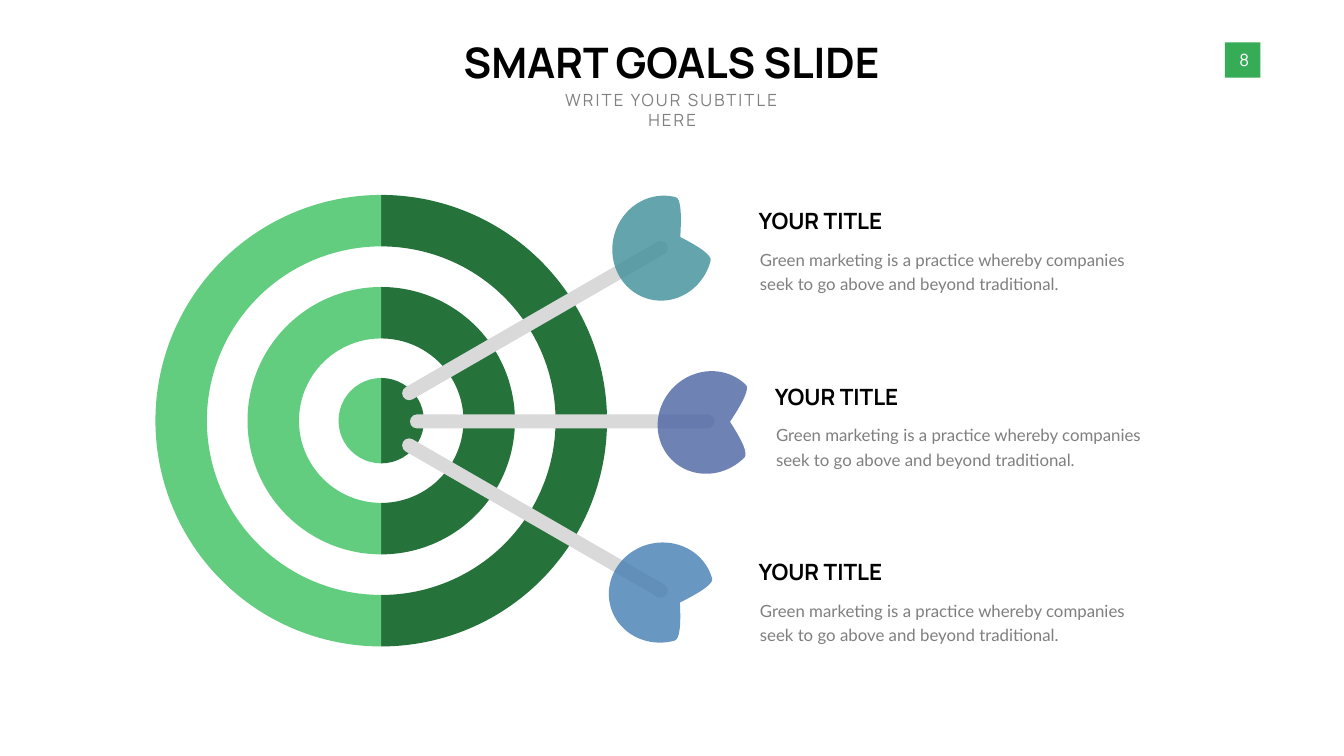
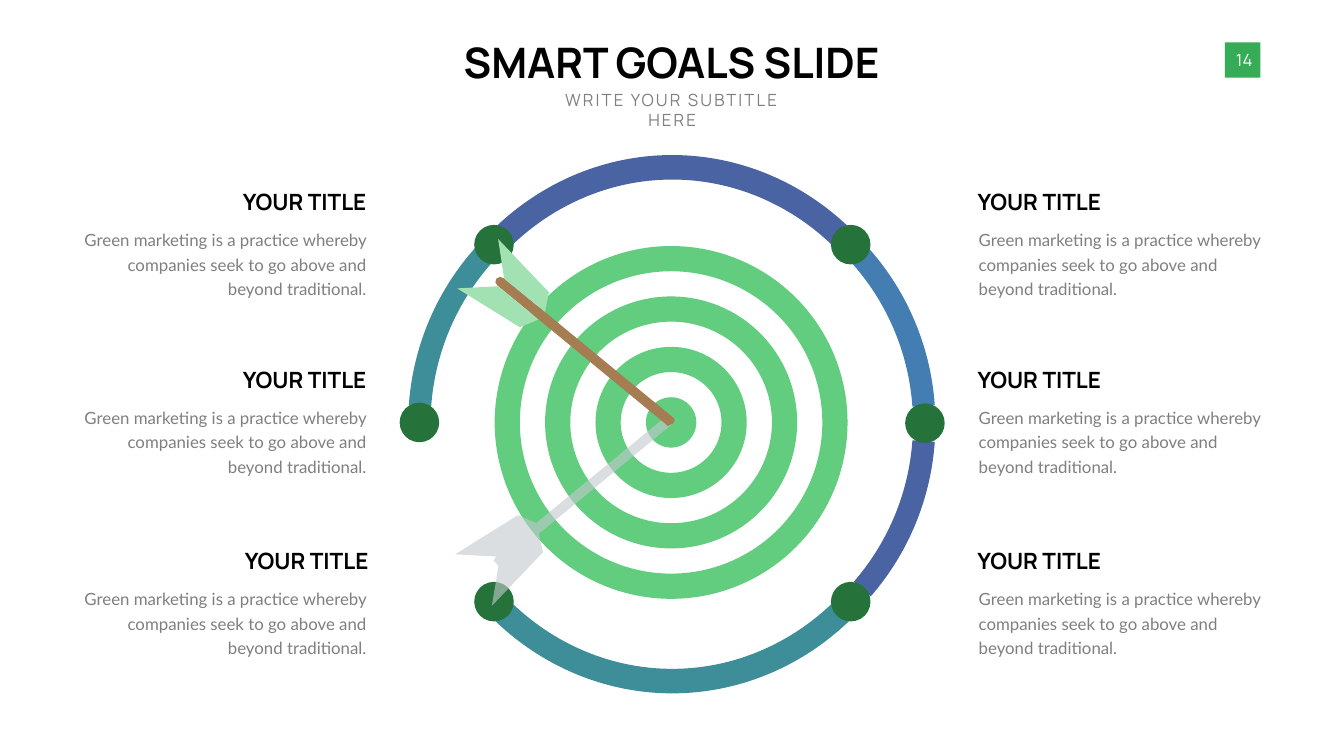
"""Build two SMART goals slides: a target with three darts and a target with six stops."""
from lxml.etree import SubElement
from pptx import Presentation
from pptx.dml.color import RGBColor
from pptx.enum.shapes import MSO_SHAPE
from pptx.enum.text import MSO_ANCHOR, MSO_AUTO_SIZE, PP_ALIGN
from pptx.oxml.ns import qn
from pptx.util import Pt

WHITE = RGBColor(0xFF, 0xFF, 0xFF)
BLACK = RGBColor(0x00, 0x00, 0x00)
SUBTITLE_GRAY = RGBColor(0x80, 0x80, 0x80)
BODY_GRAY = RGBColor(0x7F, 0x7F, 0x7F)
STICK_GRAY = RGBColor(0xD9, 0xD9, 0xD9)
ARROW_GRAY = RGBColor(0xC4, 0xC8, 0xCE)
BADGE_GREEN = RGBColor(0x37, 0xAC, 0x57)
DARK_GREEN = RGBColor(0x25, 0x73, 0x3A)
GREEN = RGBColor(0x62, 0xCD, 0x7F)
PALE_GREEN = RGBColor(0xA1, 0xE1, 0xB2)
TEAL = RGBColor(0x3E, 0x8E, 0x99)
INDIGO = RGBColor(0x4A, 0x63, 0xA2)
BLUE = RGBColor(0x43, 0x7D, 0xB2)
BROWN = RGBColor(0xA6, 0x7C, 0x52)

HEADING_FONT, BODY_FONT = "Manrope", "Lato"
BODY = "Green marketing is a practice whereby companies seek to go above and beyond traditional."
LEFT, CENTER, RIGHT = PP_ALIGN.LEFT, PP_ALIGN.CENTER, PP_ALIGN.RIGHT
DEGREE = 0.6


def paint(sp, color, alpha=100):
    sp.shadow.inherit = False
    sp.line.fill.background()
    sp.fill.solid()
    sp.fill.fore_color.rgb = color
    if alpha < 100:
        clr = sp._element.spPr.find(qn("a:solidFill"))[0]
        SubElement(clr, qn("a:alpha"), val=str(alpha * 1000))


def place(s, kind, cx, cy, w, h, color, adjustments=(), angle=0, alpha=100):
    sp = s.shapes.add_shape(kind, Pt(cx - w / 2), Pt(cy - h / 2), Pt(w), Pt(h))
    for i, value in enumerate(adjustments):
        sp.adjustments[i] = value
    sp.rotation = angle
    paint(sp, color, alpha)
    return sp


prs = Presentation()
prs.slide_width, prs.slide_height = Pt(1919.5), Pt(1080)
darts, stops = [prs.slides.add_slide(prs.slide_layouts[5]) for _ in range(2)]

cx, cy = 544.5, 601
place(darts, MSO_SHAPE.OVAL, cx, cy, 564, 564, WHITE)
for start, end, color in ((270, 90, DARK_GREEN), (90, 270, GREEN)):
    span = (start * DEGREE, end * DEGREE)
    place(darts, MSO_SHAPE.CHORD, cx, cy, 122, 122, color, span)
    for size in (382, 645):
        place(darts, MSO_SHAPE.BLOCK_ARC, cx, cy, size, size, color, (*span, 73.5 / size))

for stick_x, stick_y, angle, drop_x, drop_y, color in (
        (803, 602, 90, 1012.5, 603.5, INDIGO),
        (764, 458, 60, 946, 354.5, TEAL),
        (764, 740, 120, 944.5, 846.5, BLUE)):
    place(darts, MSO_SHAPE.ROUNDED_RECTANGLE, stick_x, stick_y, 20, 435, STICK_GRAY, (0.5,), angle)
    place(darts, MSO_SHAPE.TEAR, drop_x, drop_y, 142.5, 150.5, color, (0.29,), angle - 45.3, 80)

for top, angle, color in ((204, 180, TEAL), (239, 0, INDIGO)):
    sp = stops.shapes.add_shape(MSO_SHAPE.ARC, Pt(600), Pt(top), Pt(720), Pt(769))
    sp.adjustments[0], sp.adjustments[1] = 136.17, 187.58
    sp.rotation = angle
    sp.shadow.inherit = False
    sp.fill.background()
    sp.line.color.rgb = color
    sp.line.width = Pt(35)

for size in (504, 360, 216):
    place(stops, MSO_SHAPE.DONUT, 958.5, 603.5, size, size, GREEN, (36 / size,))
place(stops, MSO_SHAPE.OVAL, 958.5, 603.5, 72, 72, GREEN)

for start, end, color in ((184, 222, TEAL), (318, 356, BLUE), (4, 41, INDIGO)):
    place(stops, MSO_SHAPE.BLOCK_ARC, 959.5, 605, 753, 753, color,
          (start * DEGREE, end * DEGREE, 32 / 753))

for x, y in ((705.5, 349.5), (599, 603.5), (705.5, 859.5),
             (1215, 859.5), (1321, 604.5), (1215, 349.5)):
    place(stops, MSO_SHAPE.OVAL, x, y, 56.5, 56.5, DARK_GREEN)

arrow_shadow = [(960, 606), (951, 595), (766, 747), (739.5, 736), (650, 792), (708.5, 795),
                (705, 801), (712, 808), (702.5, 865.5), (775.5, 789), (769.5, 762.5)]
shaft = [(962.5, 597.5), (719.5, 397.5), (714, 395.5), (709, 398), (707.5, 403.5),
         (710.5, 408), (954, 608.5), (961, 605), (963.5, 601)]
lower_feather = [(711.5, 409), (769, 456.5), (742.5, 467.5), (653, 412)]
upper_feather = [(711.5, 341.5), (784, 417.5), (778.5, 445.5), (720, 398)]
for contours, color, alpha in (([arrow_shadow], ARROW_GRAY, 60), ([shaft], BROWN, 100),
                               ([lower_feather, upper_feather], PALE_GREEN, 100)):
    fb = None
    for contour in contours:
        points = [(Pt(x), Pt(y)) for x, y in contour]
        if fb:
            fb.move_to(*points[0])
        else:
            fb = stops.shapes.build_freeform(*points[0])
        fb.add_line_segments(points[1:], close=True)
    paint(fb.convert_to_shape(), color, alpha)

dart_items = [(1068, 292.5, 607.5, 84, LEFT, 193),
              (1091, 543.5, 607.5, 84, LEFT, 193),
              (1068, 794, 607.5, 84, LEFT, 193)]
stop_items = [(x, y, 439, 119.5, align, w)
              for x, align in ((1380.5, LEFT), (101.5, RIGHT))
              for y, w in ((264.5, 193), (518.5, 193), (777.5, 196))]

for s, number, items in ((darts, "8", dart_items), (stops, "14", stop_items)):
    title = s.shapes.title
    title.left, title.top, title.width, title.height = Pt(650), Pt(48), Pt(618.5), Pt(80)
    title.text_frame.auto_size = MSO_AUTO_SIZE.NONE
    title.text_frame.vertical_anchor = MSO_ANCHOR.TOP
    title.text_frame.word_wrap = False

    badge = place(s, MSO_SHAPE.RECTANGLE, 1774.75, 85.75, 50.5, 50.5, BADGE_GREEN)
    badge.text_frame.vertical_anchor = MSO_ANCHOR.MIDDLE
    badge.text_frame.word_wrap = False
    badge.text_frame.margin_left = Pt(11.5)

    subtitle = s.shapes.add_textbox(Pt(764.5), Pt(124), Pt(391), Pt(36))
    subtitle.text_frame.word_wrap = True

    texts = [(title, "SMART GOALS SLIDE", HEADING_FONT, 60, BLACK, CENTER),
             (badge, number, HEADING_FONT, 24, WHITE, CENTER),
             (subtitle, "WRITE YOUR SUBTITLE HERE", HEADING_FONT, 24, SUBTITLE_GRAY, CENTER)]
    for x, y, w, h, align, heading_w in items:
        heading_x = x + 8.5 if align == LEFT else x + w - 203
        heading = s.shapes.add_textbox(Pt(heading_x), Pt(y), Pt(heading_w), Pt(46))
        heading.text_frame.word_wrap = False
        heading.text_frame.vertical_anchor = MSO_ANCHOR.MIDDLE
        body = s.shapes.add_textbox(Pt(x), Pt(y + 49), Pt(w), Pt(h))
        tf = body.text_frame
        tf.word_wrap = True
        tf.margin_left = tf.margin_right = Pt(17.3)
        tf.margin_top = tf.margin_bottom = Pt(8.6)
        tf.paragraphs[0].line_spacing = Pt(35)
        texts += [(heading, "YOUR TITLE", HEADING_FONT, 32, BLACK, align),
                  (body, BODY, BODY_FONT, 24, BODY_GRAY, align)]

    for sp, text, font, size, color, align in texts:
        p = sp.text_frame.paragraphs[0]
        p.alignment = align
        r = p.add_run()
        r.text = text
        r.font.name = font
        r.font.size = Pt(size)
        r.font.bold = color == BLACK
        r.font.color.rgb = color
        if sp is subtitle:
            r._r.get_or_add_rPr().set("spc", "300")

prs.save("out.pptx")
